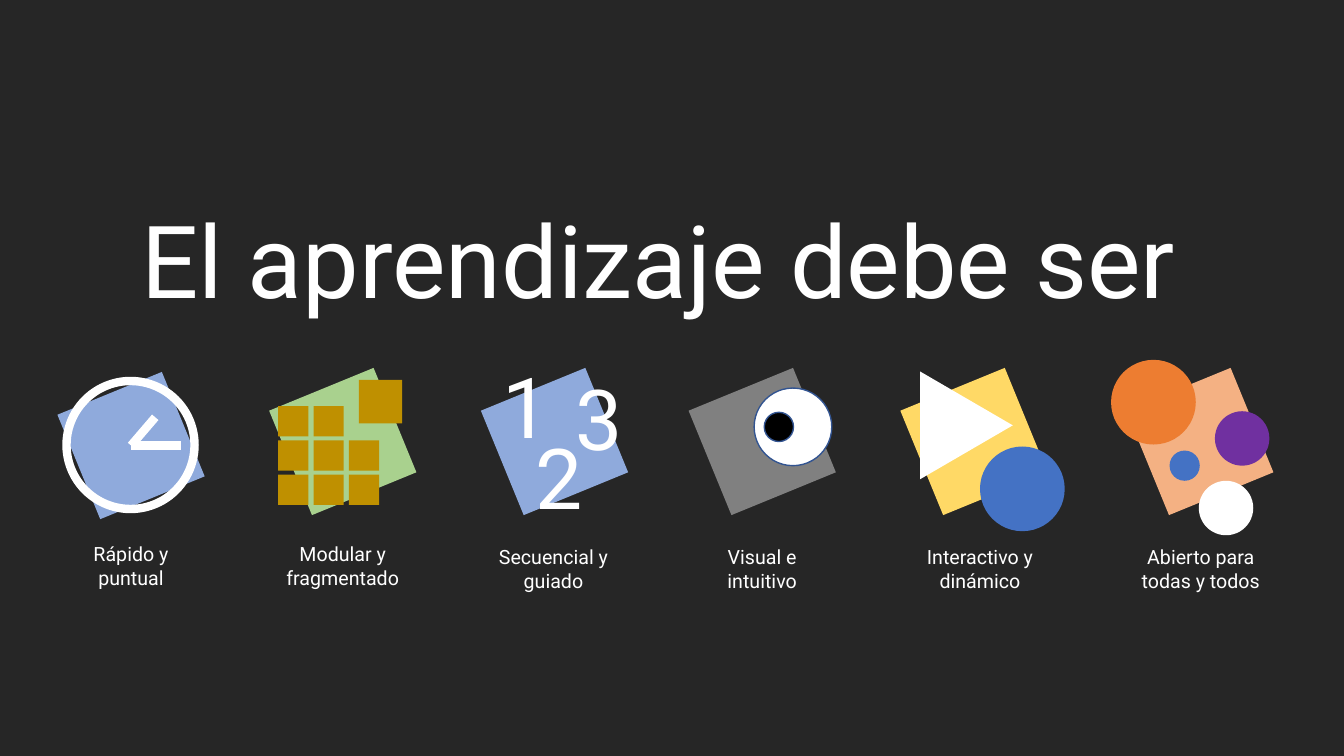
from dataclasses import dataclass
from itertools import product

from lxml import etree
from pptx import Presentation
from pptx import util as u
from pptx.dml.color import RGBColor
from pptx.enum import shapes, text
from pptx.oxml.ns import qn

RECT = shapes.MSO_SHAPE.RECTANGLE
OVAL = shapes.MSO_SHAPE.OVAL
TRIANGLE = shapes.MSO_SHAPE.ISOSCELES_TRIANGLE


@dataclass(frozen=True)
class Theme:
    font: str = "Roboto"
    title_size: int = 72
    number_size: int = 60
    caption_size: int = 14
    background: str = "262626"
    white: str = "FFFFFF"
    black: str = "000000"
    periwinkle: str = "8FAADC"
    green: str = "A9D18E"
    gold: str = "BF9000"
    gray: str = "808080"
    yellow: str = "FFD966"
    peach: str = "F4B183"
    orange: str = "ED7D31"
    purple: str = "7030A0"
    blue: str = "4472C4"
    outline: str = "325491"


class SlideBuilder:
    def __init__(self, s, theme):
        self.s = s
        self.theme = theme
        s.background.fill.solid()
        s.background.fill.fore_color.rgb = RGBColor.from_string(theme.background)

    def set_text(self, tf, content, size, align, inset=None):
        tf.word_wrap = True
        tf.auto_size = text.MSO_AUTO_SIZE.NONE
        tf.vertical_anchor = text.MSO_ANCHOR.TOP
        if inset is not None:
            tf.margin_left = tf.margin_right = u.Inches(inset)
            tf.margin_top = tf.margin_bottom = u.Inches(inset)
        p = tf.paragraphs[0]
        p.text = content
        p.alignment = align
        p.font.name = self.theme.font
        p.font.size = u.Pt(size)
        p.font.color.rgb = RGBColor.from_string(self.theme.white)

    def title(self, content, x, y, w, h):
        sp = self.s.shapes.title
        sp.left, sp.top, sp.width, sp.height = map(u.Inches, (x, y, w, h))
        self.set_text(sp.text_frame, content, self.theme.title_size, text.PP_ALIGN.LEFT)

    def label(self, content, x, y, w, h, size, inset=None):
        sp = self.s.shapes.add_textbox(*map(u.Inches, (x, y, w, h)))
        self.set_text(sp.text_frame, content, size, text.PP_ALIGN.CENTER, inset)

    def shape(self, kind, x, y, w, h, fill=None, line=None, weight=1, rotation=0):
        sp = self.s.shapes.add_shape(kind, *map(u.Inches, (x, y, w, h)))
        sp.shadow.inherit = False
        sp.rotation = rotation
        if fill:
            sp.fill.solid()
            sp.fill.fore_color.rgb = RGBColor.from_string(fill)
        else:
            sp.fill.background()
        if line:
            sp.line.color.rgb = RGBColor.from_string(line)
            sp.line.width = u.Pt(weight)
        else:
            sp.line.fill.background()

    def square(self, x, y, side, fill):
        self.shape(RECT, x, y, side, side, fill)

    def circle(self, x, y, diameter, fill=None, line=None, weight=1):
        self.shape(OVAL, x, y, diameter, diameter, fill, line, weight)

    def tile(self, x, y, fill):
        self.shape(RECT, x, y, 1.12, 1.12, fill, rotation=337.7)

    def line(self, x1, y1, x2, y2, color, weight):
        c = self.s.shapes.add_connector(
            shapes.MSO_CONNECTOR.STRAIGHT, *map(u.Inches, (x1, y1, x2, y2)))
        c.line.color.rgb = RGBColor.from_string(color)
        c.line.width = u.Pt(weight)
        etree.SubElement(c._element.spPr, qn("a:effectLst"))


theme = Theme()
prs = Presentation()
prs.slide_width, prs.slide_height = u.Inches(13.33), u.Inches(7.5)
slide = SlideBuilder(prs.slides.add_slide(prs.slide_layouts[5]), theme)

slide.title("El aprendizaje debe ser", 1.3, 1.91, 10.73, 1.31)

columns = [
    (0.74, 3.86, theme.periwinkle, 0.57, 5.33, "Rápido y puntual"),
    (2.84, 3.82, theme.green, 2.67, 5.33, "Modular y fragmentado"),
    (4.94, 3.82, theme.periwinkle, 4.76, 5.36, "Secuencial y guiado"),
    (7, 3.82, theme.gray, 6.83, 5.36, "Visual e intuitivo"),
    (9.1, 3.82, theme.yellow, 8.99, 5.36, "Interactivo y dinámico"),
    (11.34, 3.82, theme.peach, 11.18, 5.36, "Abierto para todas y todos"),
]
for tile_x, tile_y, color, caption_x, caption_y, caption in columns:
    slide.tile(tile_x, tile_y, color)
    slide.label(caption, caption_x, caption_y, 1.46, 0.57, theme.caption_size)

slide.circle(0.66, 3.78, 1.27, line=theme.white, weight=6)
for hand_x, hand_y in [(1.8, 4.42), (1.54, 4.14)]:
    slide.line(1.3, 4.42, hand_x, hand_y, theme.white, 6)

for row, col in product(range(3), range(3)):
    if (row, col) != (0, 2):
        slide.square(2.76 + 0.35 * col, 4.03 + 0.34 * row, 0.3, theme.gold)
slide.square(3.56, 3.77, 0.43, theme.gold)

for number, x, y in [("1", 4.98, 3.52), ("2", 5.31, 4.22), ("3", 5.71, 3.64)]:
    slide.label(number, x, y, 0.38, 1.01, theme.number_size, inset=0)

slide.circle(7.48, 3.85, 0.77, theme.white, theme.outline)
slide.circle(7.58, 4.09, 0.29, theme.black, theme.outline)

slide.circle(9.72, 4.43, 0.84, theme.blue)
slide.shape(TRIANGLE, 9.05, 3.76, 1.07, 0.92, theme.white, rotation=90)

for x, y, diameter, color in [
    (11.02, 3.57, 0.84, theme.orange),
    (12.05, 4.08, 0.54, theme.purple),
    (11.6, 4.47, 0.3, theme.blue),
    (11.89, 4.77, 0.54, theme.white),
]:
    slide.circle(x, y, diameter, color)

prs.save("out.pptx")
